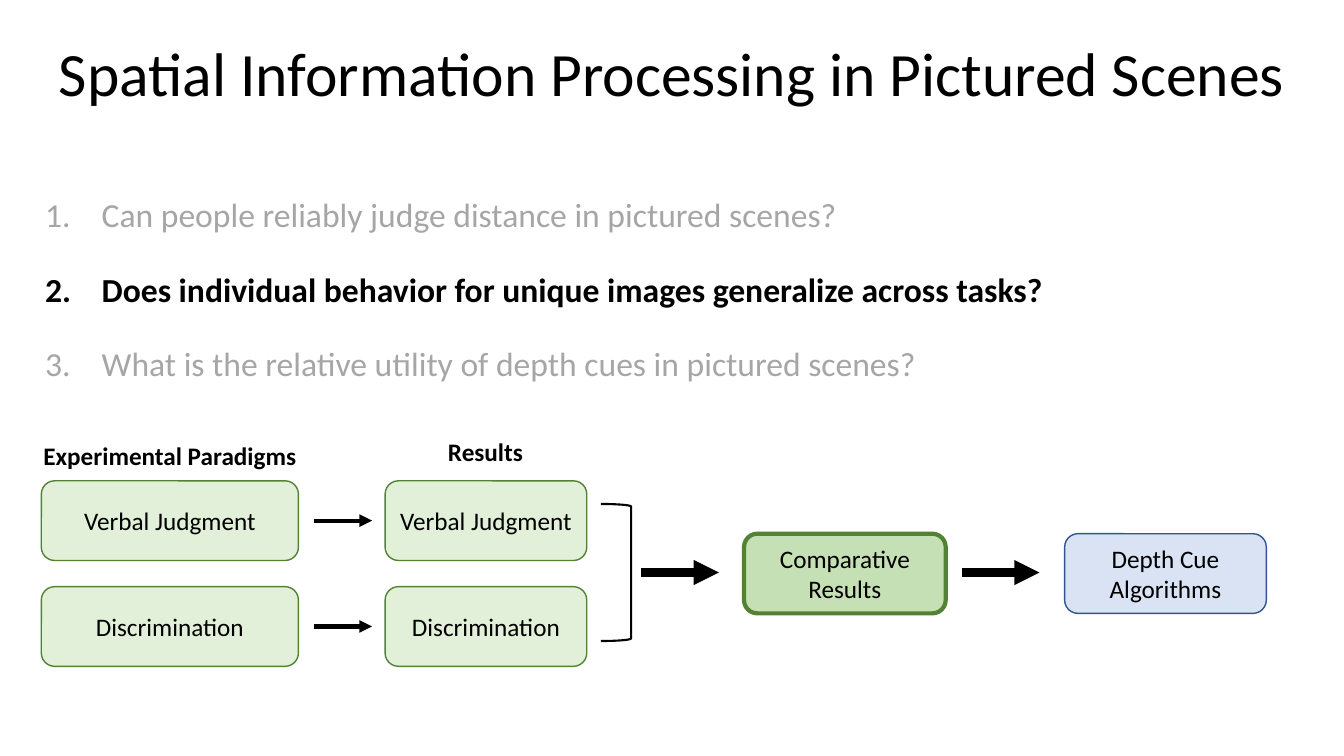
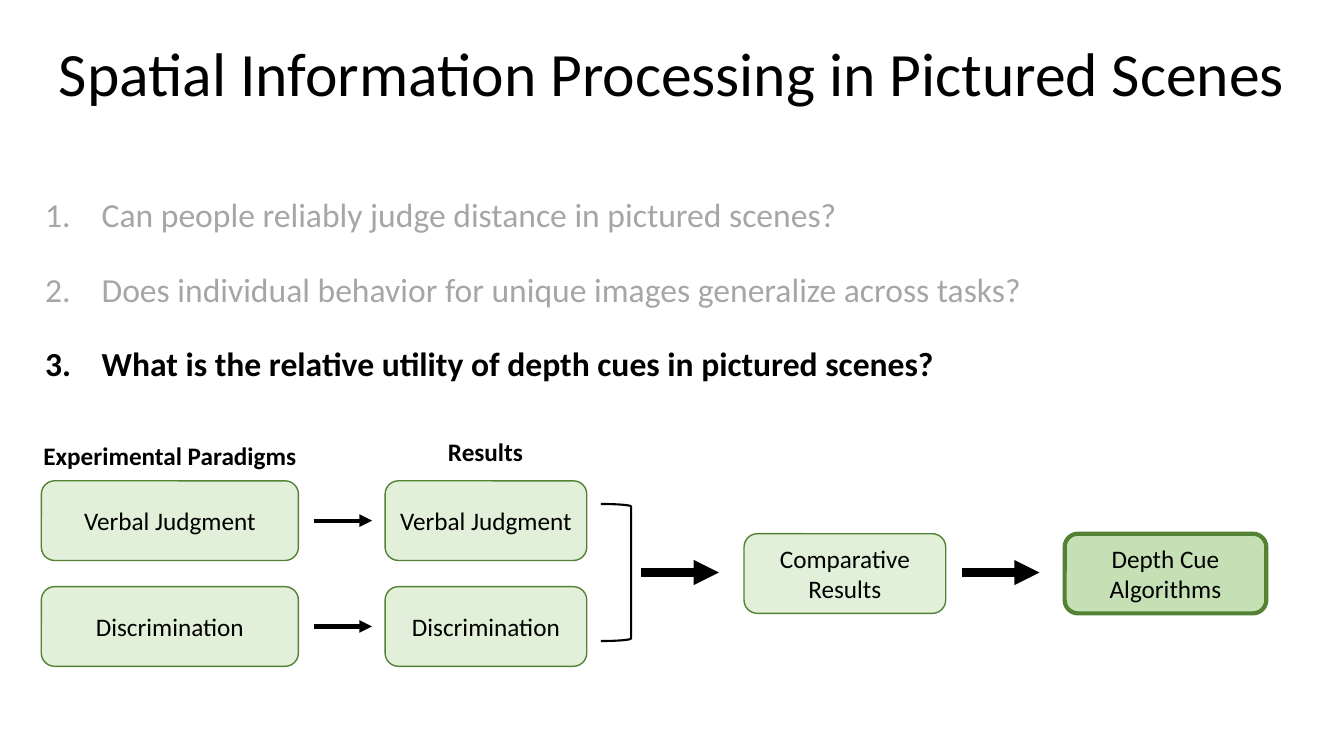
from pptx import Presentation
from pptx.dml.color import RGBColor
from pptx.enum.shapes import MSO_CONNECTOR as Connector, MSO_SHAPE as Shape
from pptx.enum.text import MSO_ANCHOR as Anchor, PP_ALIGN as Align
from pptx.oxml.ns import qn
from pptx.util import Inches, Pt
from lxml.etree import SubElement

FONT = "Calibri"
COLORS = {
    "ink": "000000",
    "muted": "A6A6A6",
    "green": "E2F0D9",
    "green_active": "C5E0B4",
    "green_line": "548235",
    "blue": "DAE3F3",
    "blue_line": "325491",
}
STYLES = {
    "done": ("green", "green_line", 1),
    "active": ("green_active", "green_line", 3),
    "pending": ("blue", "blue_line", 1),
}
TITLE = "Spatial Information Processing in Pictured Scenes"
QUESTIONS = [
    "Can people reliably judge distance in pictured scenes?",
    "Does individual behavior for unique images generalize across tasks?",
    "What is the relative utility of depth cues in pictured scenes?",
]
TASKS = ["Verbal Judgment", "Discrimination"]
SLIDES = [(1, "active", "pending"), (2, "done", "active")]

TITLE_BOX = (0.35, 0.17, 12.64, 1.18)
QUESTION_BOX = (0.35, 1.13, 12.64, 3.27)
FLOW_BOX = (0.41, 4.77, 12.15, 1.84)
ROW_HEIGHT = 0.79
STAGE_WIDTH = 2


def color(name):
    return RGBColor.from_string(COLORS[name])


def format_para(para, size, bold=False, ink="ink", align=Align.CENTER):
    para.alignment = align
    for span in para.runs:
        span.font.name = FONT
        span.font.size = Pt(size)
        span.font.bold = bold
        span.font.color.rgb = color(ink)


def add_text(page, box, text, size, bold=False, anchor=Anchor.TOP):
    frame = page.shapes.add_textbox(*map(Inches, box)).text_frame
    frame.word_wrap = True
    frame.vertical_anchor = anchor
    frame.text = text
    format_para(frame.paragraphs[0], size, bold)
    return frame


def add_title(page, box):
    frame = add_text(page, box, TITLE, 44, anchor=Anchor.MIDDLE)
    frame.paragraphs[0].line_spacing = 0.9


def add_questions(page, box, current):
    frame = add_text(page, box, "\n".join(QUESTIONS), 24, anchor=Anchor.MIDDLE)
    for index, para in enumerate(frame.paragraphs):
        props = para._p.get_or_add_pPr()
        props.set("marL", str(Inches(0.56)))
        props.set("indent", str(Inches(-0.56)))
        SubElement(props, qn("a:buFont"), typeface=FONT)
        SubElement(props, qn("a:buAutoNum"), type="arabicPeriod")
        para.line_spacing = 1.5
        if index:
            para.space_before = Pt(10)
        chosen = index == current
        format_para(para, 24, chosen, "ink" if chosen else "muted", Align.LEFT)


def add_stage(page, box, text, style):
    fill, line, weight = STYLES[style]
    stage = page.shapes.add_shape(Shape.ROUNDED_RECTANGLE, *map(Inches, box))
    stage.shadow.inherit = False
    stage.fill.solid()
    stage.fill.fore_color.rgb = color(fill)
    stage.line.color.rgb = color(line)
    stage.line.width = Pt(weight)
    stage.text_frame.word_wrap = True
    stage.text_frame.vertical_anchor = Anchor.MIDDLE
    stage.text_frame.text = text
    format_para(stage.text_frame.paragraphs[0], 18)


def add_arrow(page, left, middle, length, weight):
    ends = map(Inches, (left, middle, left + length, middle))
    arrow = page.shapes.add_connector(Connector.STRAIGHT, *ends)
    arrow.line.color.rgb = color("ink")
    arrow.line.width = Pt(weight)
    SubElement(arrow.line._get_or_add_ln(), qn("a:tailEnd"), type="triangle")
    SubElement(arrow._element.spPr, qn("a:effectLst"))


def add_bracket(page, box):
    bracket = page.shapes.add_shape(Shape.RIGHT_BRACKET, *map(Inches, box))
    bracket.shadow.inherit = False
    bracket.fill.background()
    bracket.line.color.rgb = color("ink")
    bracket.line.width = Pt(1.5)


def add_flow(page, box, comparison_style, algorithm_style):
    left, top, width, height = box
    results = left + 3.41
    comparison = left + 6.97
    algorithms = left + width - STAGE_WIDTH
    middle = top + height / 2

    add_text(page, (left - 0.28, top - 0.45, 3.11, 0.4), "Experimental Paradigms", 18, True)
    add_text(page, (results + 0.07, top - 0.49, 1.85, 0.4), "Results", 18, True)
    for row, task in enumerate(TASKS):
        row_top = top + row * (height - ROW_HEIGHT)
        add_stage(page, (left, row_top, 2.55, ROW_HEIGHT), task, "done")
        add_stage(page, (results, row_top, STAGE_WIDTH, ROW_HEIGHT), task, "done")
        add_arrow(page, left + 2.7, row_top + ROW_HEIGHT / 2, 0.58, 3)

    add_bracket(page, (results + 2.14, middle - 0.69, 0.3, 1.36))
    for stage_left, text, style in [
        (comparison, "Comparative Results", comparison_style),
        (algorithms, "Depth Cue Algorithms", algorithm_style),
    ]:
        add_arrow(page, stage_left - 1.02, middle - 0.01, 0.77, 6)
        stage_box = (stage_left, middle - ROW_HEIGHT / 2, STAGE_WIDTH, ROW_HEIGHT)
        add_stage(page, stage_box, text, style)


def main():
    deck = Presentation()
    deck.slide_width = Inches(13.33)
    deck.slide_height = Inches(7.5)
    for current, comparison_style, algorithm_style in SLIDES:
        page = deck.slides.add_slide(deck.slide_layouts[6])
        add_title(page, TITLE_BOX)
        add_questions(page, QUESTION_BOX, current)
        add_flow(page, FLOW_BOX, comparison_style, algorithm_style)
    deck.save("out.pptx")


if __name__ == "__main__":
    main()
